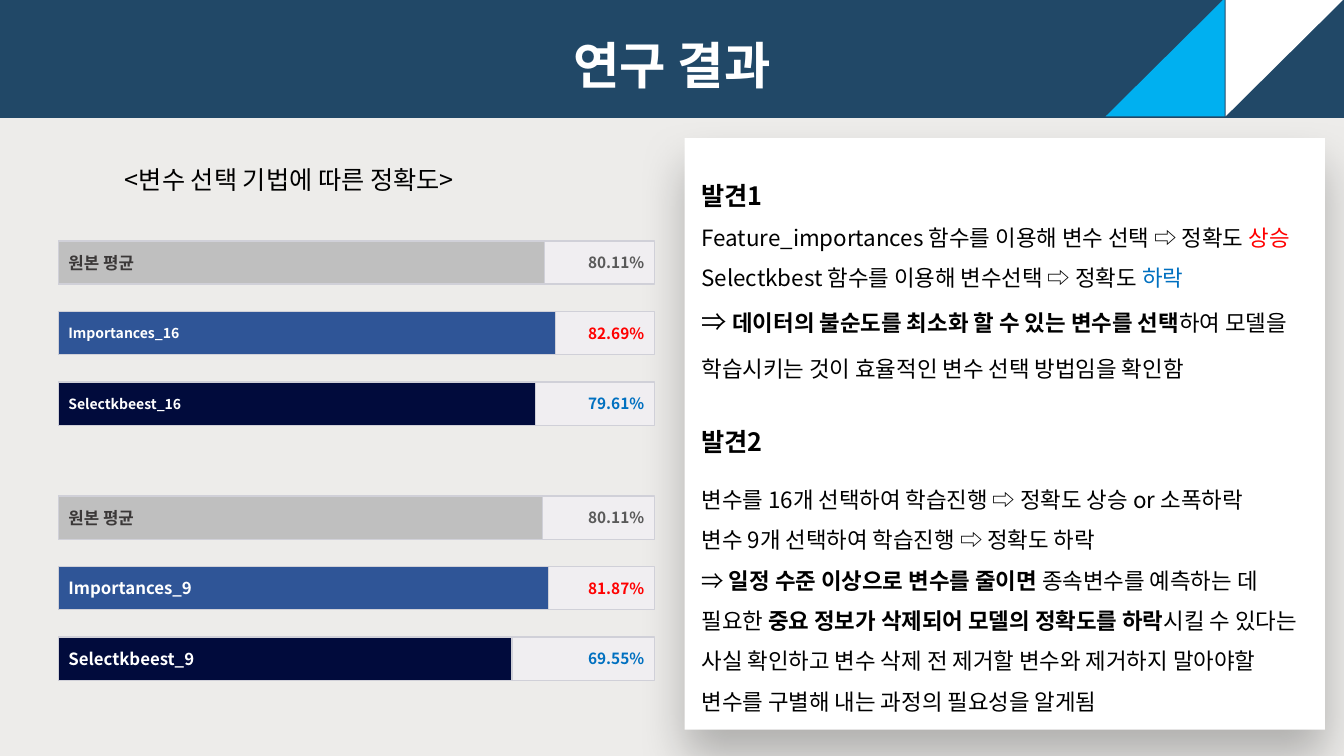
from dataclasses import dataclass

from lxml.etree import SubElement
from pptx import Presentation
from pptx.dml.color import RGBColor
from pptx.enum.shapes import MSO_SHAPE
from pptx.enum.text import MSO_ANCHOR, PP_ALIGN
from pptx.oxml.ns import qn
from pptx.util import Inches, Pt


@dataclass(frozen=True)
class Theme:
    """Colours, type sizes and font of the slide."""
    font: str = "Noto Sans CJK KR"
    page: str = "EDECEA"
    navy: str = "214867"
    sky: str = "00B0F0"
    white: str = "FFFFFF"
    black: str = "000000"
    red: str = "FF0000"
    blue: str = "0070C0"
    gray: str = "595959"
    coal: str = "3B3838"
    track: str = "F0EEF1"
    edge: str = "D0D0D8"
    silver: str = "BFBFBF"
    royal: str = "2F5597"
    night: str = "010B3C"
    title: int = 36
    head: int = 18
    body: int = 16
    label: int = 12
    value: int = 11
    small: int = 10


T = Theme()


def add_run(para, text, size=T.body, color=T.black, bold=False):
    """Add one formatted run to a paragraph."""
    run = para.add_run()
    run.text = text
    font = run.font
    font.size, font.bold, font.name = Pt(size), bold, T.font
    font.color.rgb = RGBColor.from_string(color)
    SubElement(run._r.get_or_add_rPr(), qn("a:ea"), typeface=T.font)


def write(frame, paras, align=PP_ALIGN.LEFT, anchor=MSO_ANCHOR.TOP,
          lines=1.5, gaps=None):
    """Fill a text frame with paragraphs, each a list of (text, format) runs."""
    frame.word_wrap = True
    frame.vertical_anchor = anchor
    for i, runs in enumerate(paras):
        para = frame.add_paragraph() if i else frame.paragraphs[0]
        para.alignment = align
        size = max(style.get("size", T.body) for _, style in runs)
        para.line_spacing = Pt(round(size * 1.2 * lines, 1))
        para.space_before = Pt((gaps or {}).get(i, 0))
        for text, style in runs:
            add_run(para, text, **style)


def add_box(slide, at, fill, kind=MSO_SHAPE.RECTANGLE, line=None, turn=0):
    """Add a filled preset shape."""
    box = slide.shapes.add_shape(kind, *map(Inches, at))
    box.shadow.inherit = False
    box.fill.solid()
    box.fill.fore_color.rgb = RGBColor.from_string(fill)
    box.rotation = turn
    if line:
        box.line.color.rgb = RGBColor.from_string(line)
        box.line.width = Pt(1)
    else:
        box.line.fill.background()
    return box


def add_text(slide, at, paras, **style):
    """Add a text box."""
    box = slide.shapes.add_textbox(*map(Inches, at))
    write(box.text_frame, paras, **style)


def add_panel(slide, at):
    """Add the white panel with its soft shadow."""
    panel = add_box(slide, at, T.white)
    effects = panel._element.spPr.find(qn("a:effectLst"))
    shade = SubElement(effects, qn("a:outerShdw"), blurRad=str(Pt(34)),
                       dist=str(Pt(19)), dir="5400000", algn="t", rotWithShape="0")
    color = SubElement(shade, qn("a:srgbClr"), val=T.black)
    SubElement(color, qn("a:alpha"), val="25000")


def add_bar(slide, top, width, fill, label, ink, size, value, tone):
    """Add a track with its value and the labelled bar over it."""
    parts = (
        (5.91, T.track, value, tone, T.value, PP_ALIGN.RIGHT),
        (width, fill, label, ink, size, PP_ALIGN.LEFT),
    )
    for wide, shade, text, color, points, align in parts:
        box = add_box(slide, (0.58, top, wide, 0.43), shade, line=T.edge)
        write(box.text_frame, [[(text, dict(size=points, color=color, bold=True))]],
              align=align, anchor=MSO_ANCHOR.MIDDLE, lines=1)


def add_bars(slide):
    """Add both groups of accuracy bars."""
    kinds = ((T.silver, T.coal, T.gray), (T.royal, T.white, T.red),
             (T.night, T.white, T.blue))
    groups = (
        (2.39, (("원본 평균", T.label, 4.82, "80.11%"),
                ("Importances_16", T.small, 4.93, "82.69%"),
                ("Selectkbeest_16", T.small, 4.73, "79.61%"))),
        (4.92, (("원본 평균", T.label, 4.8, "80.11%"),
                ("Importances_9", T.label, 4.86, "81.87%"),
                ("Selectkbeest_9", T.label, 4.5, "69.55%"))),
    )
    for start, bars in groups:
        for i, (label, size, width, value) in enumerate(bars):
            fill, ink, tone = kinds[i]
            add_bar(slide, start + 0.7 * i, width, fill, label, ink, size, value, tone)


def add_notes(slide):
    """Add the two findings on the panel."""
    bold, head = dict(bold=True), dict(size=T.head, bold=True)
    paras = [
        [("발견1", head)],
        [("Feature_importances 함수를 이용해 변수 선택 ⇨ 정확도 ", {}),
         ("상승", dict(color=T.red))],
        [("Selectkbest 함수를 이용해 변수선택 ⇨ 정확도 ", {}),
         ("하락", dict(color=T.blue))],
        [("⇒ ", dict(size=T.head)),
         ("데이터의 불순도를 최소화 할 수 있는 변수를 선택", bold),
         ("하여 모델을 학습시키는 것이 효율적인 변수 선택 방법임을 확인함", {})],
        [("변수를 16개 선택하여 학습진행 ⇨ 정확도 상승 or 소폭하락", {})],
        [("변수 9개 선택하여 학습진행 ⇨ 정확도 하락", {})],
        [("⇒ ", {}), ("일정 수준 이상으로 변수를 줄이면 ", bold),
         ("종속변수를 예측하는 데 필요한 ", {}),
         ("중요 정보가 삭제되어 모델의 정확도를 하락", bold),
         ("시킬 수 있다는 사실 확인하고 변수 삭제 전 제거할 변수와 "
          "제거하지 말아야할 변수를 구별해 내는 과정의 필요성을 알게됨", {})],
    ]
    add_text(slide, (6.86, 1.59, 6.28, 5.6), paras, gaps={4: 64.8})
    add_text(slide, (6.86, 4.03, 4.32, 0.55), [[("발견2", head)]])


def add_banner(slide):
    """Add the title band and its two corner triangles."""
    band = add_box(slide, (0, -0.01, 13.33, 1.18), T.navy)
    title = dict(size=T.title, color=T.white, bold=True)
    write(band.text_frame, [[("연구 결과", title)]], align=PP_ALIGN.CENTER)
    for left, fill, turn in ((12.16, T.white, 90), (10.97, T.sky, 270)):
        add_box(slide, (left, -0.02, 1.17, 1.18), fill,
                kind=MSO_SHAPE.RIGHT_TRIANGLE, turn=turn)


def main():
    """Build and save the slide."""
    deck = Presentation()
    deck.slide_width, deck.slide_height = Inches(13.33), Inches(7.5)
    slide = deck.slides.add_slide(deck.slide_layouts[6])
    back = slide.background.fill
    back.solid()
    back.fore_color.rgb = RGBColor.from_string(T.page)
    add_panel(slide, (6.79, 1.37, 6.35, 5.87))
    add_bars(slide)
    add_notes(slide)
    add_banner(slide)
    add_text(slide, (1.14, 1.58, 5.84, 0.4),
             [[("<변수 선택 기법에 따른 정확도>", dict(size=T.head))]], lines=1)
    deck.save("out.pptx")


if __name__ == "__main__":
    main()
